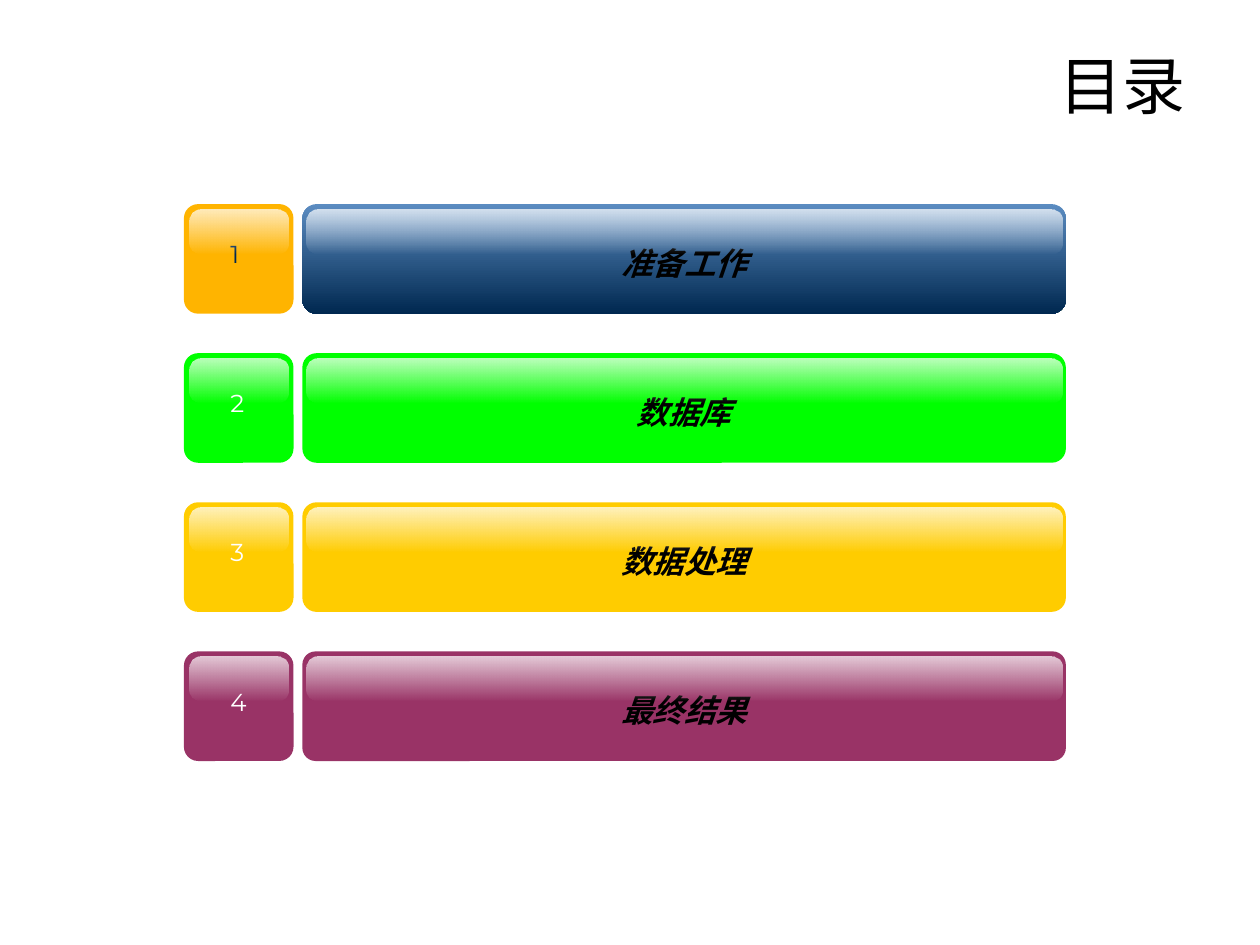
from dataclasses import dataclass

from lxml.etree import SubElement
from pptx import Presentation
from pptx.dml.color import RGBColor
from pptx.enum.shapes import MSO_SHAPE
from pptx.enum.text import MSO_ANCHOR, PP_ALIGN
from pptx.oxml.ns import qn
from pptx.shapes.autoshape import Shape
from pptx.shapes.shapetree import GroupShapes
from pptx.util import Inches, Pt

FIRST_TOP, LAST_TOP = 1.62, 5.17
BADGE_LEFT, BAR_LEFT = 1.46, 2.4
BAR_WIDTH, SIZE = 6.06, 0.87
GLOSS_HEIGHT, GLOSS_DROP = 0.35, 0.04


@dataclass
class Entry:
    title: str
    badge_color: str
    bar_colors: tuple[str, ...]
    number_color: str = "FFFFFF"
    number_width: float = 0.31
    rounding: float = 0.13
    wrap: bool = False


ENTRIES = [
    Entry("准备工作", "FFB400", ("5B8CC1", "002850"), "002850", 0.23),
    Entry("数据库", "00FF00", ("00FF00",)),
    Entry("数据处理", "FFCC00", ("FFCC00",)),
    Entry("最终结果", "993366", ("993366",), rounding=0.12, wrap=True),
]


def rgb(value: str) -> RGBColor:
    return RGBColor.from_string(value)


def fill_shape(sp: Shape, colors: tuple[str, ...]) -> None:
    """Fill with one colour, or with two running from top to bottom."""
    if len(colors) == 1:
        sp.fill.solid()
        sp.fill.fore_color.rgb = rgb(colors[0])
        return
    sp.fill.gradient()
    sp.fill.gradient_angle = 270
    for stop, color in zip(sp.fill.gradient_stops, colors):
        stop.color.rgb = rgb(color)


def add_rounded(shapes: GroupShapes, left: float, top: float, width: float,
                height: float, rounding: float, colors: tuple[str, ...]) -> Shape:
    sp = shapes.add_shape(MSO_SHAPE.ROUNDED_RECTANGLE, Inches(left), Inches(top),
                          Inches(width), Inches(height))
    sp.adjustments[0] = rounding
    sp.shadow.inherit = False
    sp.line.fill.background()
    fill_shape(sp, colors)
    return sp


def add_gloss(shapes: GroupShapes, left: float, top: float, width: float) -> None:
    """Add a white highlight that fades out downwards."""
    sp = add_rounded(shapes, left, top + GLOSS_DROP, width, GLOSS_HEIGHT, 0.26,
                     ("FFFFFF", "FFFFFF"))
    stops = sp.element.spPr.iter(qn("a:srgbClr"))
    for color, alpha in zip(stops, ("75000", "0")):
        SubElement(color, qn("a:alpha")).set("val", alpha)


def write_text(sp: Shape, text: str, size: int, font: str, color: str,
               align: PP_ALIGN, anchor: MSO_ANCHOR, wrap: bool = False,
               emphasis: bool = False) -> None:
    tf = sp.text_frame
    tf.word_wrap = wrap
    tf.vertical_anchor = anchor
    p = tf.paragraphs[0]
    p.alignment = align
    if emphasis:
        p.line_spacing = 1.2
    r = p.add_run()
    r.text = text
    r.font.size = Pt(size)
    r.font.name = font
    r.font.bold = r.font.italic = emphasis
    r.font.color.rgb = rgb(color)


def add_entry(shapes: GroupShapes, number: int, entry: Entry, top: float) -> None:
    bar = add_rounded(shapes, BAR_LEFT, top, BAR_WIDTH, SIZE, entry.rounding,
                      entry.bar_colors)
    write_text(bar, entry.title, 18, "Arial", "000000", PP_ALIGN.CENTER,
               MSO_ANCHOR.MIDDLE, entry.wrap, emphasis=True)
    add_gloss(shapes, BAR_LEFT + 0.03, top, BAR_WIDTH - 0.06)

    add_rounded(shapes, BADGE_LEFT, top, SIZE, SIZE, 0.13, (entry.badge_color,))
    label = shapes.add_textbox(Inches(1.73), Inches(top + 0.23),
                               Inches(entry.number_width), Inches(0.4))
    write_text(label, str(number), 14, "Montserrat", entry.number_color,
               PP_ALIGN.LEFT, MSO_ANCHOR.TOP)
    add_gloss(shapes, BADGE_LEFT + 0.04, top, SIZE - 0.08)


def main() -> None:
    prs = Presentation()
    prs.slide_width, prs.slide_height = Inches(10), Inches(7.5)
    s = prs.slides.add_slide(prs.slide_layouts[6])

    title = s.shapes.add_textbox(Inches(0.51), Inches(0.32), Inches(9), Inches(0.7))
    write_text(title, "目录", 36, "Arial", "000000", PP_ALIGN.RIGHT,
               MSO_ANCHOR.MIDDLE, wrap=True)

    pitch = (LAST_TOP - FIRST_TOP) / (len(ENTRIES) - 1)
    for i, entry in enumerate(ENTRIES):
        group = s.shapes.add_group_shape()
        add_entry(group.shapes, i + 1, entry, FIRST_TOP + i * pitch)

    prs.save("out.pptx")


if __name__ == "__main__":
    main()
